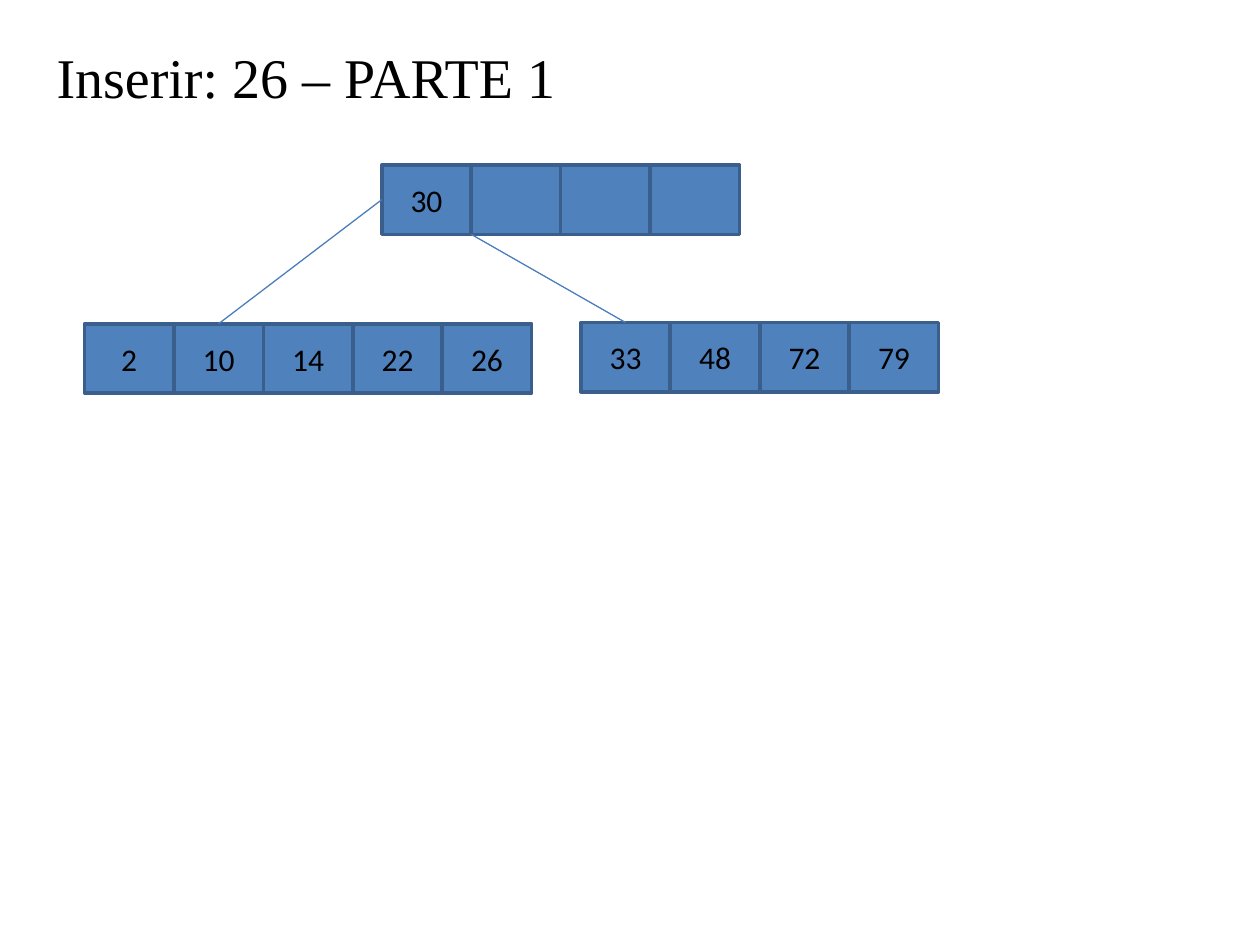
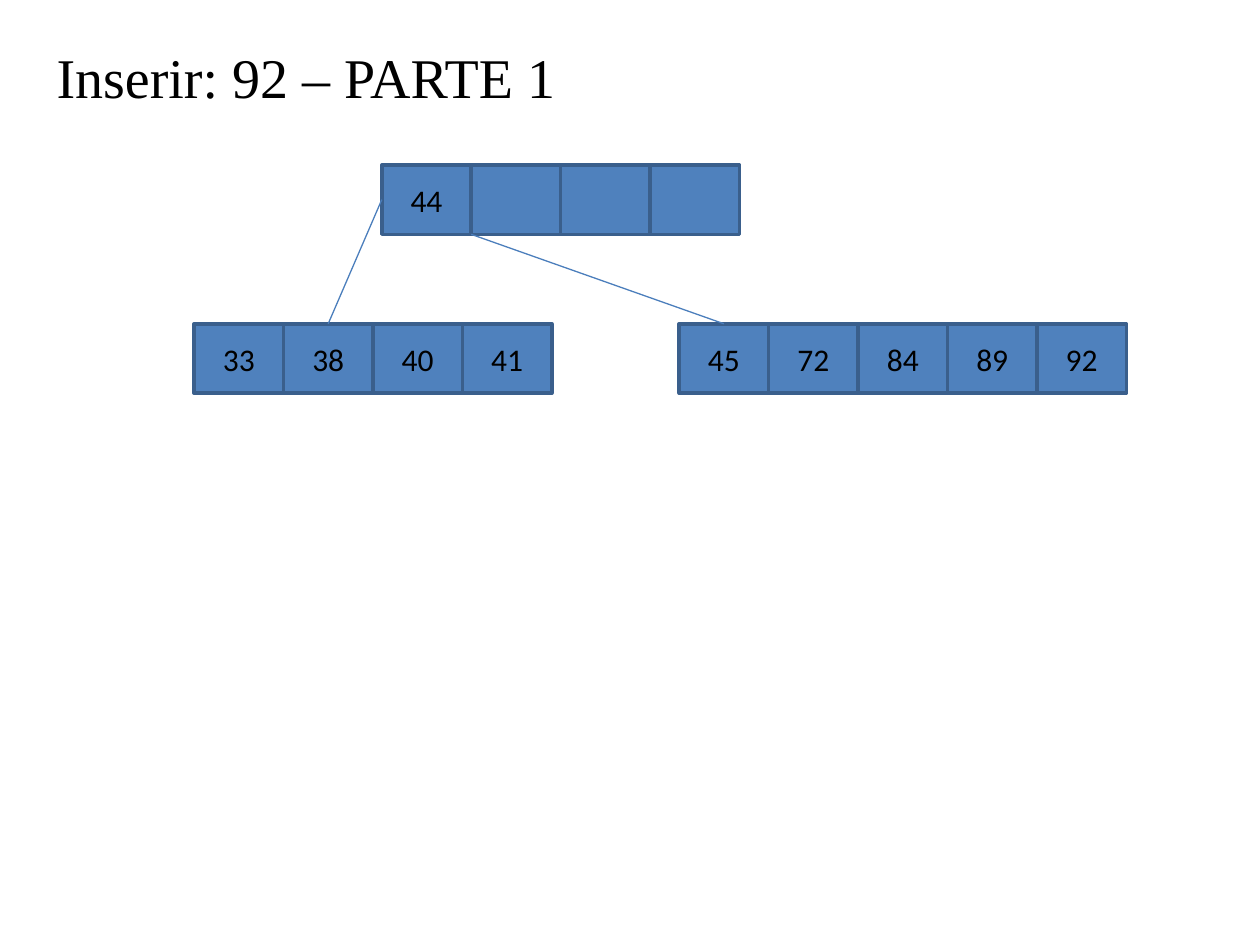
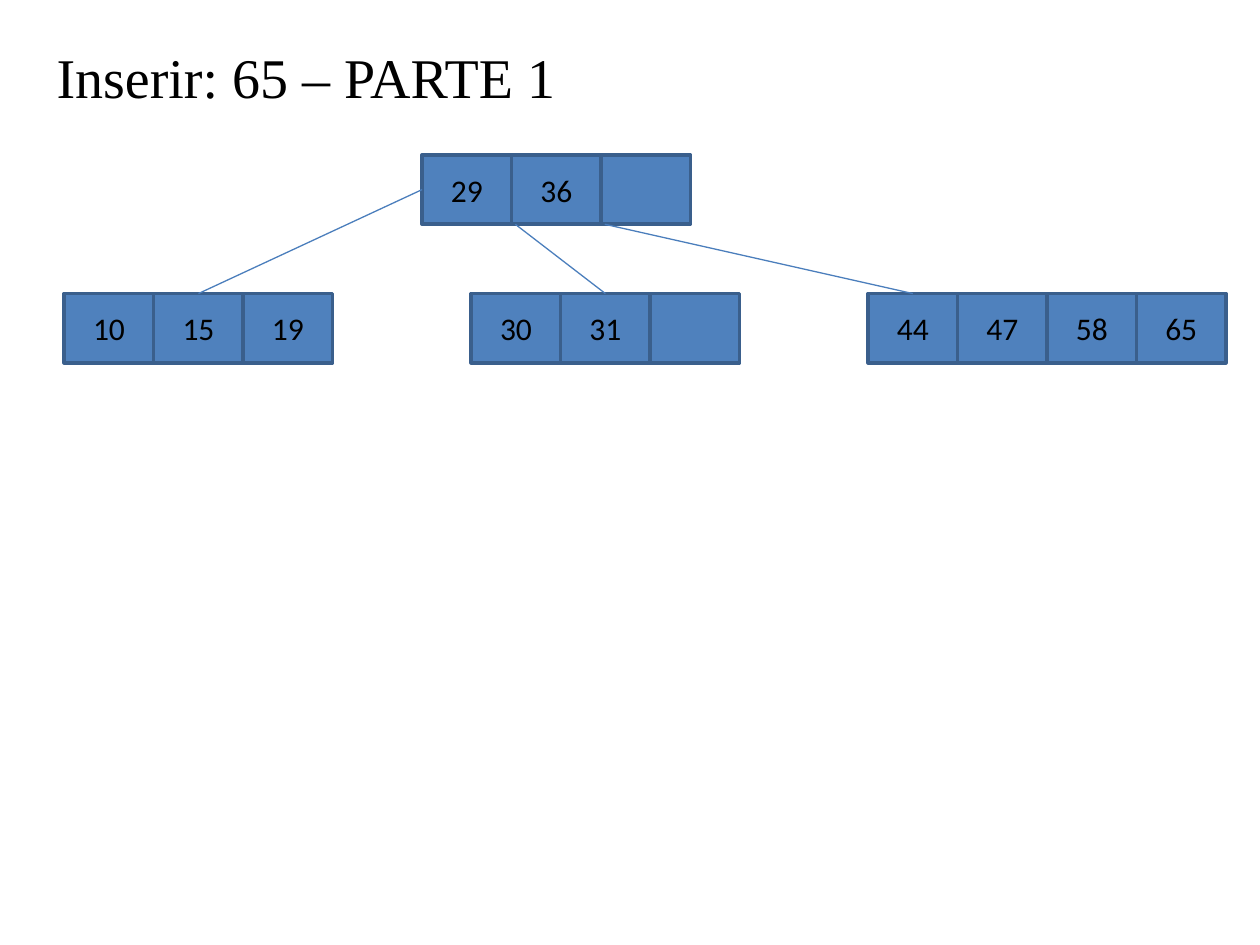
from pptx import Presentation
from pptx.dml.color import RGBColor
from pptx.enum.shapes import MSO_CONNECTOR, MSO_SHAPE
from pptx.enum.text import MSO_ANCHOR, PP_ALIGN
from pptx.oxml.ns import qn
from pptx.util import Inches, Pt
from lxml.etree import SubElement

BLACK = RGBColor(0x00, 0x00, 0x00)
CELL_FILL = RGBColor(0x4F, 0x81, 0xBD)
CELL_LINE = RGBColor(0x3A, 0x5F, 0x8C)
LINK_LINE = RGBColor(0x4B, 0x7E, 0xBC)
TITLE_FONT, KEY_FONT = "Times New Roman", "Calibri"
CELL_W, CELL_H = 0.71, 0.55

# Nodes are (left, top, keys); a child also names the cell its link ends on.
# "link_shift" moves the links that leave the bottom of the root.
TREES = [
    {"title": "Inserir: 26 – PARTE 1",
     "root": (3.03, 1.31, ["30", "", "", ""]),
     "children": [(0.67, 2.57, ["2", "10", "14", "22", "26"], 1),
                  (4.61, 2.56, ["33", "48", "72", "79"], 0)],
     "link_shift": 0},
    {"title": "Inserir: 92 – PARTE 1",
     "root": (3.03, 1.31, ["44", "", "", ""]),
     "children": [(1.54, 2.57, ["33", "38", "40", "41"], 1),
                  (5.39, 2.57, ["45", "72", "84", "89", "92"], 0)],
     "link_shift": 0},
    {"title": "Inserir: 65 – PARTE 1",
     "root": (3.35, 1.23, ["29", "36", ""]),
     "children": [(0.51, 2.33, ["10", "15", "19"], 1),
                  (3.74, 2.33, ["30", "31", ""], 1),
                  (6.89, 2.33, ["44", "47", "58", "65"], 0)],
     "link_shift": 0.03},
]


def style_text(p, font, size, align):
    """Format a paragraph and its runs."""
    p.alignment = align
    for r in p.runs:
        r.font.name = font
        r.font.size = Pt(size)
        r.font.color.rgb = BLACK


def add_title(slide, text):
    """Write the slide title."""
    box = slide.shapes.add_textbox(Inches(0.35), Inches(0.29),
                                   Inches(5.91), Inches(1.02))
    tf = box.text_frame
    tf.word_wrap = True
    tf.text = text
    p = tf.paragraphs[0]
    p.space_before = Pt(6.4)
    style_text(p, TITLE_FONT, 32, PP_ALIGN.JUSTIFY)


def add_node(slide, left, top, keys):
    """Draw a tree node as a row of cells, one per key slot."""
    for i, key in enumerate(keys):
        sp = slide.shapes.add_shape(
            MSO_SHAPE.RECTANGLE, Inches(left + i * CELL_W), Inches(top),
            Inches(CELL_W), Inches(CELL_H))
        sp.shadow.inherit = False
        sp.fill.solid()
        sp.fill.fore_color.rgb = CELL_FILL
        sp.line.color.rgb = CELL_LINE
        sp.line.width = Pt(2)
        if key:
            tf = sp.text_frame
            tf.text = key
            tf.vertical_anchor = MSO_ANCHOR.MIDDLE
            style_text(tf.paragraphs[0], KEY_FONT, 18, PP_ALIGN.CENTER)


def add_link(slide, x1, y1, x2, y2):
    """Draw a thin line from a parent node to a child."""
    line = slide.shapes.add_connector(MSO_CONNECTOR.STRAIGHT, Inches(x1),
                                      Inches(y1), Inches(x2), Inches(y2))
    line.line.color.rgb = LINK_LINE
    line.line.width = Pt(0.75)
    SubElement(line._element.spPr, qn("a:effectLst"))


def add_tree(slide, root, children, link_shift):
    """Draw the root, its children and the links between them."""
    root_left, root_top, _ = root
    add_node(slide, *root)
    for i, (left, top, keys, target) in enumerate(children):
        add_node(slide, left, top, keys)
        if i == 0:
            x, y = root_left, root_top + CELL_H / 2
        else:
            x, y = root_left + i * CELL_W + link_shift, root_top + CELL_H
        add_link(slide, x, y, left + (target + 0.5) * CELL_W, top)


def main():
    """Build one slide per insertion and save the deck."""
    prs = Presentation()
    prs.slide_width, prs.slide_height = Inches(10), Inches(7.5)
    for tree in TREES:
        slide = prs.slides.add_slide(prs.slide_layouts[6])
        add_title(slide, tree["title"])
        add_tree(slide, tree["root"], tree["children"], tree["link_shift"])
    prs.save("out.pptx")


main()
